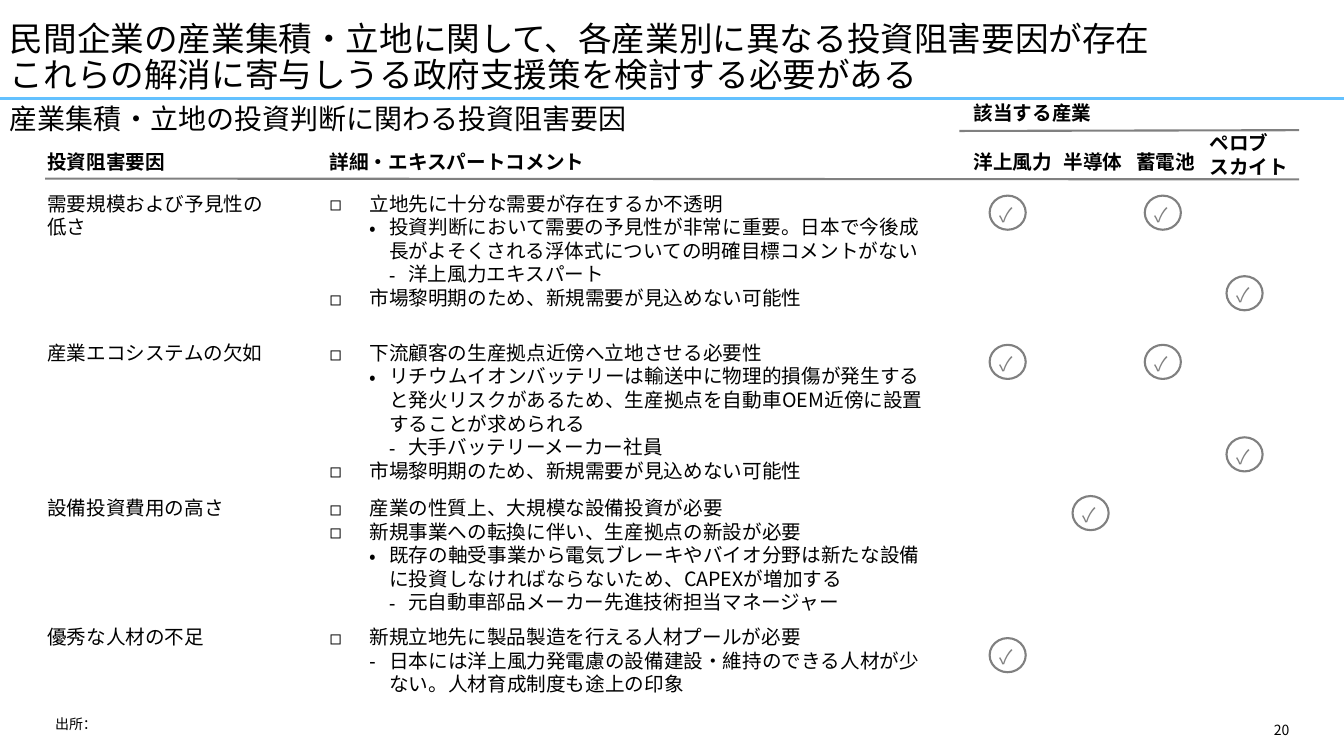
"""Build a slide of investment barriers and the industries they apply to."""
from lxml import etree
from pptx import Presentation
from pptx.dml.color import RGBColor
from pptx.enum.shapes import MSO_CONNECTOR, MSO_SHAPE
from pptx.enum.text import MSO_ANCHOR, PP_ALIGN
from pptx.oxml.ns import qn
from pptx.util import Cm, Pt

STRAIGHT = MSO_CONNECTOR.STRAIGHT
OVAL = MSO_SHAPE.OVAL
BOTTOM = MSO_ANCHOR.BOTTOM
RIGHT = PP_ALIGN.RIGHT
BLACK = RGBColor(0x00, 0x00, 0x00)
GRAY = RGBColor(0x80, 0x80, 0x80)
SKY = RGBColor(0x63, 0xC1, 0xFF)
FONT = "Noto Sans CJK JP"
LINE_HEIGHT = 0.6
HEADER_TOP = 3.78
FACTOR_LEFT, FACTOR_WIDTH = 1.19, 5.69
DETAIL_LEFT, DETAIL_WIDTH = 8.31, 15.01


def add_text(shapes, box, lines, size=14, color=BLACK, bold=None, inset=0, wrap=True):
    shape = shapes.add_textbox(*(Cm(length) for length in box))
    frame = shape.text_frame
    frame.word_wrap = wrap
    if not inset:
        margins = {"margin_left": 0, "margin_top": 0, "margin_right": 0, "margin_bottom": 0}
        for name, value in margins.items():
            setattr(frame, name, value)
    for index, line in enumerate(lines):
        paragraph = frame.add_paragraph() if index else frame.paragraphs[0]
        paragraph.text = line
        for run in paragraph.runs:
            for name, value in {"name": FONT, "size": Pt(size), "bold": bold}.items():
                setattr(run.font, name, value)
            run.font.color.rgb = color
            latin = run.font._element.find(qn("a:latin"))
            latin.addnext(latin.makeelement(qn("a:ea"), {"typeface": FONT}))
    return frame


def add_rule(start_x, start_y, end_x, end_y, color, width):
    connector = slide.shapes.add_connector(
        STRAIGHT, Cm(start_x), Cm(start_y), Cm(end_x), Cm(end_y))
    connector.line.color.rgb = color
    connector.line.width = Pt(width)
    etree.SubElement(connector._element.spPr, qn("a:effectLst"))


presentation = Presentation()
presentation.slide_width = Cm(33.87)
presentation.slide_height = Cm(19.05)
slide = presentation.slides.add_slide(presentation.slide_layouts[6])

add_rule(0, 2.49, 33.87, 2.49, SKY, 2.25)
title = add_text(
    slide.shapes, (0, 0, 33.87, 2.51),
    ["民間企業の産業集積・立地に関して、各産業別に異なる投資阻害要因が存在\v"
     "これらの解消に寄与しうる政府支援策を検討する必要がある"],
    size=24, inset=1)
title.vertical_anchor = BOTTOM
subtitle = add_text(slide.shapes, (0, 2.54, 33.87, 1.4),
                    ["産業集積・立地の投資判断に関わる投資阻害要因"], size=20, inset=1)
for frame in (title, subtitle):
    frame.paragraphs[0].line_spacing = 0.9

headers = [
    (FACTOR_LEFT, HEADER_TOP, 3.73, ["投資阻害要因"]),
    (DETAIL_LEFT, HEADER_TOP, 7.98, ["詳細・エキスパートコメント"]),
    (24.54, 2.54, 3.91, ["該当する産業"]),
    (24.54, HEADER_TOP, 2.26, ["洋上風力"]),
    (26.8, HEADER_TOP, 2.26, ["半導体"]),
    (28.63, HEADER_TOP, 2.26, ["蓄電池"]),
    (30.48, 3.3, 2.26, ["ペロブ", "スカイト"]),
]
for left, top, width, lines in headers:
    add_text(slide.shapes, (left, top, width, LINE_HEIGHT * len(lines)), lines, bold=True)
add_rule(1.14, 4.5, 32.74, 4.52, GRAY, 1.5)
add_rule(24.18, 3.3, 32.74, 3.28, GRAY, 1.5)

barriers = [
    (4.83, 3.0, "需要規模および予見性の低さ", [
        (0, "◻", "立地先に十分な需要が存在するか不透明"),
        (1, "•", "投資判断において需要の予見性が非常に重要。日本で今後成長がよそくされる"
                 "浮体式についての明確目標コメントがない"),
        (2, "⁃", "洋上風力エキスパート"),
        (0, "◻", "市場黎明期のため、新規需要が見込めない可能性")]),
    (8.59, 3.58, "産業エコシステムの欠如", [
        (0, "◻", "下流顧客の生産拠点近傍へ立地させる必要性"),
        (1, "•", "リチウムイオンバッテリーは輸送中に物理的損傷が発生すると発火リスクがあるため、"
                 "生産拠点を自動車OEM近傍に設置することが求められる"),
        (2, "⁃", "大手バッテリーメーカー社員"),
        (0, "◻", "市場黎明期のため、新規需要が見込めない可能性")]),
    (12.5, 3.0, "設備投資費用の高さ", [
        (0, "◻", "産業の性質上、大規模な設備投資が必要"),
        (0, "◻", "新規事業への転換に伴い、生産拠点の新設が必要"),
        (1, "•", "既存の軸受事業から電気ブレーキやバイオ分野は新たな設備に投資しなければ"
                 "ならないため、CAPEXが増加する"),
        (2, "⁃", "元自動車部品メーカー先進技術担当マネージャー")]),
    (15.75, 1.8, "優秀な人材の不足", [
        (0, "◻", "新規立地先に製品製造を行える人材プールが必要"),
        (1, "⁃", "日本には洋上風力発電慮の設備建設・維持のできる人材が少ない。"
                 "人材育成制度も途上の印象")]),
]
indents = [(1.0, 1.0), (1.5, 0.5), (1.98, 0.48)]
for top, height, factor, details in barriers:
    factor_lines = 2 if len(factor) > 11 else 1
    add_text(slide.shapes, (FACTOR_LEFT, top, FACTOR_WIDTH, LINE_HEIGHT * factor_lines), [factor])
    frame = add_text(slide.shapes, (DETAIL_LEFT, top, DETAIL_WIDTH, height),
                     [text for level, bullet, text in details])
    for paragraph, (level, bullet, text) in zip(frame.paragraphs, details):
        paragraph.level = level
        margin, hanging = indents[level]
        properties = paragraph._p.get_or_add_pPr()
        properties.set("marL", str(Cm(margin)))
        properties.set("indent", str(-Cm(hanging)))
        etree.SubElement(properties, qn("a:buFont"), typeface=FONT)
        etree.SubElement(properties, qn("a:buChar"), char=bullet)

WIND, CHIP, BATTERY, PEROVSKITE = 24.94, 27.03, 28.85, 30.91
checks = [
    (WIND, 4.93), (BATTERY, 4.93), (PEROVSKITE, 6.96),
    (WIND, 8.69), (BATTERY, 8.69), (PEROVSKITE, 11.02),
    (CHIP, 12.5), (WIND, 16.08),
]
for left, top in checks:
    group = slide.shapes.add_group_shape()
    circle = group.shapes.add_shape(OVAL, Cm(left), Cm(top), Cm(0.91), Cm(0.86))
    circle.shadow.inherit = False
    circle.fill.background()
    circle.line.color.rgb = GRAY
    circle.line.width = Pt(1.5)
    add_text(group.shapes, (left + 0.25, top + 0.18, 0.5, LINE_HEIGHT), ["✓"],
             color=GRAY, wrap=False)

add_text(slide.shapes, (1.14, 17.91, 21.51, 1.02), ["出所："], size=10, inset=1)
page_number = add_text(slide.shapes, (23.93, 18.06, 8.81, 0.61), ["20"], size=10, inset=1)
page_number.paragraphs[0].alignment = RIGHT

presentation.save("out.pptx")
